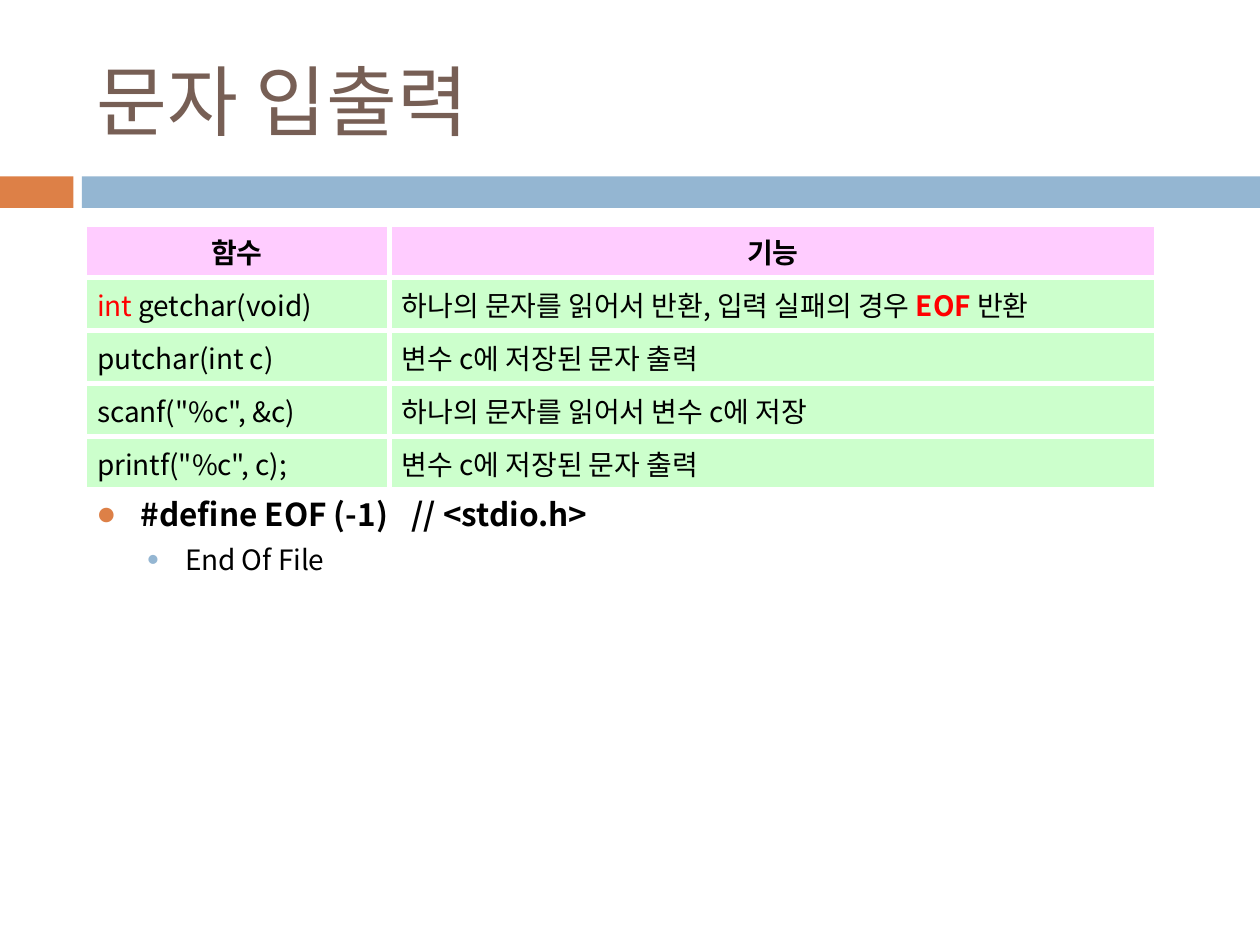
from dataclasses import dataclass
from typing import Any

from lxml import etree
from pptx import Presentation
from pptx import util as u
from pptx.dml.color import RGBColor
from pptx.enum import shapes, text
from pptx.oxml import ns

ORANGE = RGBColor(0xDD, 0x80, 0x47)
BLUE = RGBColor(0x94, 0xB6, 0xD2)
BROWN = RGBColor(0x77, 0x5F, 0x55)
PINK = RGBColor(0xFF, 0xCC, 0xFF)
GREEN = RGBColor(0xCC, 0xFF, 0xCC)
RED = RGBColor(0xFF, 0x00, 0x00)
BLACK = RGBColor(0x00, 0x00, 0x00)
WHITE = RGBColor(0xFF, 0xFF, 0xFF)

FUNCTIONS = [
    ([("int ", RED, False), ("getchar(void)", BLACK, False)],
     [("하나의 문자를 읽어서 반환, 입력 실패의 경우 ", BLACK, False),
      ("EOF ", RED, True), ("반환", BLACK, False)]),
    ([("putchar(int c)", BLACK, False)],
     [("변수 c에 저장된 문자 출력", BLACK, False)]),
    ([('scanf("%c", &c)', BLACK, False)],
     [("하나의 문자를 읽어서 변수 c에 저장", BLACK, False)]),
    ([('printf("%c", c);', BLACK, False)],
     [("변수 c에 저장된 문자 출력", BLACK, False)]),
]


def add_node(parent, tag, **attributes):
    return etree.SubElement(parent, ns.qn(tag), attributes)


@dataclass
class Lecture:
    """Holds the lecture style and the slide being filled."""

    slide: Any
    font: str = "Noto Sans CJK KR"
    heading_font: str = "Calibri"
    table_size: int = 16

    def add_runs(self, paragraph, runs, size, font=None):
        for words, color, bold in runs:
            run = paragraph.add_run()
            run.text = words
            run.font.size = u.Pt(size)
            run.font.bold = bold
            run.font.color.rgb = color
            run.font.name = font or self.font
            add_node(run.font._element, "a:ea", typeface=self.font)

    def indent(self, paragraph, left, hanging):
        properties = paragraph._p.get_or_add_pPr()
        properties.set("marL", str(u.Pt(left)))
        properties.set("indent", str(-u.Pt(hanging)))
        return properties

    def bar(self, left, width, color):
        band = self.slide.shapes.add_shape(
            shapes.MSO_SHAPE.RECTANGLE, u.Pt(left), u.Pt(100.8), u.Pt(width), u.Pt(18))
        band.shadow.inherit = False
        band.fill.solid()
        band.fill.fore_color.rgb = color
        band.line.fill.background()

    def frame(self, top, width, height, anchor):
        box = self.slide.shapes.add_textbox(u.Pt(48.24), u.Pt(top), u.Pt(width), u.Pt(height))
        box.text_frame.word_wrap = True
        box.text_frame.vertical_anchor = anchor
        return box.text_frame

    def title(self, words):
        heading = self.frame(18, 642.24, 77.76, text.MSO_ANCHOR.MIDDLE)
        self.add_runs(heading.paragraphs[0], [(words, BROWN, False)], 44, self.heading_font)

    def bullet(self, paragraph, runs, size, left, hanging, before, color, scale):
        paragraph.space_before = u.Pt(before)
        properties = self.indent(paragraph, left, hanging)
        add_node(add_node(properties, "a:buClr"), "a:srgbClr", val=str(color))
        add_node(properties, "a:buSzPct", val=str(scale * 1000))
        add_node(properties, "a:buFont", typeface=self.heading_font)
        add_node(properties, "a:buChar", char="●")
        self.add_runs(paragraph, runs, size)

    def cell(self, cell, runs, align, fill):
        cell.vertical_anchor = text.MSO_ANCHOR.MIDDLE
        properties = cell._tc.get_or_add_tcPr()
        for side in "LRTB":
            border = add_node(properties, f"a:ln{side}", w=str(u.Pt(3)))
            add_node(add_node(border, "a:solidFill"), "a:srgbClr", val=str(WHITE))
        cell.fill.solid()
        cell.fill.fore_color.rgb = fill
        paragraph = cell.text_frame.paragraphs[0]
        paragraph.alignment = align
        self.indent(paragraph, 27, 27)
        self.add_runs(paragraph, runs, self.table_size)

    def table(self, headings, rows, widths, row_height):
        grid = self.slide.shapes.add_table(
            len(rows) + 1, len(widths), u.Pt(48.24), u.Pt(128.3),
            u.Pt(sum(widths)), u.Pt(row_height * (len(rows) + 1))).table
        for column, width in zip(grid.columns, widths):
            column.width = u.Pt(width)
        header = [[(heading, BLACK, True)] for heading in headings]
        for index, entries in enumerate([header, *rows]):
            grid.rows[index].height = u.Pt(row_height)
            align = text.PP_ALIGN.JUSTIFY if index else text.PP_ALIGN.CENTER
            for column, runs in enumerate(entries):
                self.cell(grid.cell(index, column), runs, align, GREEN if index else PINK)


def main():
    deck = Presentation()
    deck.slide_width, deck.slide_height = u.Pt(720), u.Pt(540)
    lecture = Lecture(deck.slides.add_slide(deck.slide_layouts[6]))
    lecture.bar(0, 42, ORANGE)
    lecture.bar(46.8, 673.2, BLUE)
    lecture.title("문자 입출력")
    lecture.table(["함수", "기능"], FUNCTIONS, [174.24, 438.48], 30.3)
    notes = lecture.frame(279.36, 612.72, 67.68, text.MSO_ANCHOR.TOP)
    lecture.bullet(notes.paragraphs[0], [("#define EOF (-1)\t// <stdio.h>", BLACK, True)],
                   18, 25.2, 25.2, 7, ORANGE, 100)
    meaning = notes.add_paragraph()
    meaning.level = 1
    lecture.bullet(meaning, [("End Of File", BLACK, False)], 16, 50.4, 21.6, 5.5, BLUE, 70)
    deck.save("out.pptx")


if __name__ == "__main__":
    main()
